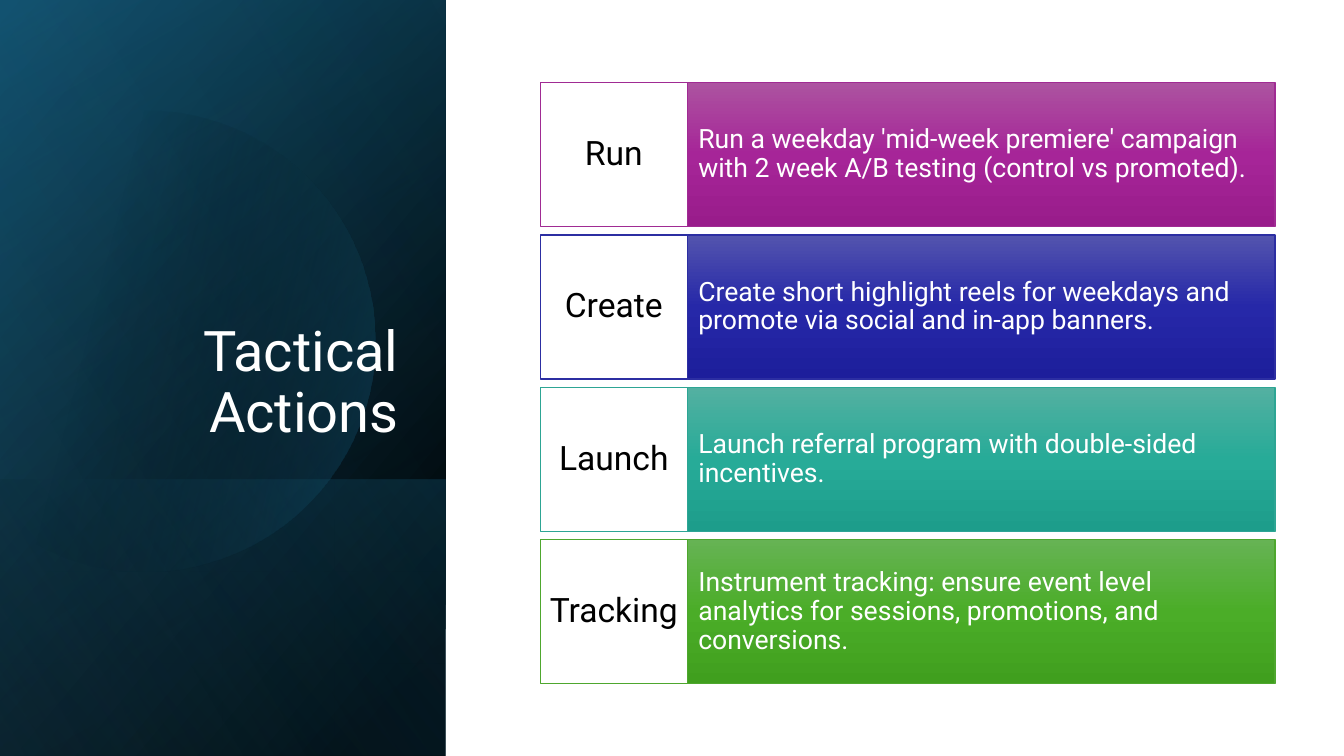
from lxml import etree
from pptx import Presentation, util as u
from pptx.dml.color import RGBColor
from pptx.enum import shapes, text
from pptx.oxml.ns import qn

# Content
TITLE = "Tactical Actions"
ACTIONS = [
    ("Run", "Run a weekday 'mid-week premiere' campaign with 2 week A/B testing "
     "(control vs promoted).", "magenta"),
    ("Create", "Create short highlight reels for weekdays and promote via social "
     "and in-app banners.", "indigo"),
    ("Launch", "Launch referral program with double-sided incentives.", "teal"),
    ("Tracking", "Instrument tracking: ensure event level analytics for sessions, "
     "promotions, and conversions.", "green"),
]
COLOURS = {
    "white": "FFFFFF", "black": "000000", "navy": "104862", "sea": "156082", "sky": "46B1E1",
    "magenta": "A02B93", "magenta_top": "AC53A0", "magenta_mid": "A62598", "magenta_end": "991C8B",
    "indigo": "2C2EA2", "indigo_top": "5354AE", "indigo_mid": "2628A8", "indigo_end": "1D1E9B",
    "teal": "2DA594", "teal_top": "53B0A1", "teal_mid": "27AB98", "teal_end": "1D9D8B",
    "green": "4EA72E", "green_top": "66B354", "green_mid": "4BAD28", "green_end": "409F1E",
}
FONT = "Roboto"

# Layout in centimetres
SLIDE_W, SLIDE_H = 33.87, 19.05
PANEL_W, BAND_H = 11.23, 6.96
CARD_X, CARD_Y, CARD_H, CARD_PITCH = 13.62, 2.08, 3.63, 3.84
VERB_W, DETAIL_W = 3.7, 14.81

# Panel layers, back to front: height, angle, stops of (position, colour, opacity)
LAYERS_BELOW = [
    (SLIDE_H, 50, [(8, "black", 100), (100, "navy", 100)]),
    (SLIDE_H, 30, [(0, "black", 0), (99, "sea", 46)]),
    (BAND_H, 130, [(2, "sea", 29), (100, "black", 30)]),
]
LAYERS_ABOVE = [(SLIDE_H, 120, [(0, "black", 0), (99, "sky", 11)])]

# Disc outline: start point, then curves of two handles and an end point
DISC_START = (0, 4.09)
DISC_CURVES = [
    ((0.58, 3.61), (1.27, 3.25), (2.03, 3.02)),
    ((2.62, 2.87), (3.2, 2.79), (3.78, 2.79)),
    ((6.25, 2.84), (8.51, 4.5), (9.22, 6.99)),
    ((10.11, 10.08), (8.33, 13.28), (5.26, 14.17)),
    ((3.33, 14.74), (1.35, 14.25), (0, 13.06)),
]
DISC_STOPS = [(29, "black", 0), (100, "sea", 43)]
CURVE_STEPS = 24

# Text formats
TITLE_FORMAT = {
    "frame": {"vertical_anchor": text.MSO_ANCHOR.BOTTOM},
    "paragraph": {"alignment": text.PP_ALIGN.RIGHT},
    "font": {"size": u.Pt(40)}, "colour": "white",
}
VERB_FORMAT = {
    "frame": {"vertical_anchor": text.MSO_ANCHOR.MIDDLE,
              "margin_left": u.Cm(0.2), "margin_right": u.Cm(0.2),
              "margin_top": u.Cm(0.36), "margin_bottom": u.Cm(0.36)},
    "paragraph": {"alignment": text.PP_ALIGN.CENTER},
    "font": {"size": u.Pt(24)}, "colour": "black",
}
DETAIL_FORMAT = {
    "frame": {"vertical_anchor": text.MSO_ANCHOR.MIDDLE,
              "margin_left": u.Cm(0.28), "margin_right": u.Cm(0.28),
              "margin_top": u.Cm(0.91), "margin_bottom": u.Cm(0.91)},
    "paragraph": {"alignment": text.PP_ALIGN.LEFT},
    "font": {"size": u.Pt(19)}, "colour": "white",
}


def rgb(name):
    return RGBColor.from_string(COLOURS[name])


def set_all(target, values):
    for key, value in values.items():
        setattr(target, key, value)


def write(shape, words, style):
    frame = shape.text_frame
    set_all(frame, {"word_wrap": True, **style["frame"]})
    paragraph = frame.paragraphs[0]
    set_all(paragraph, {"line_spacing": 0.9, **style["paragraph"]})
    run = paragraph.add_run()
    run.text = words
    set_all(run.font, {"name": FONT, **style["font"]})
    run.font.color.rgb = rgb(style["colour"])


def paint_gradient(shape, angle, stops):
    shape.fill.gradient()
    gradient = shape.fill._fill._gradFill
    stop_list = gradient.find(qn("a:gsLst"))
    for old in list(stop_list):
        stop_list.remove(old)
    for position, name, opacity in stops:
        stop = etree.SubElement(stop_list, qn("a:gs"), pos=str(position * 1000))
        colour = etree.SubElement(stop, qn("a:srgbClr"), val=COLOURS[name])
        if opacity < 100:
            etree.SubElement(colour, qn("a:alpha"), val=str(opacity * 1000))
    gradient.find(qn("a:lin")).set("ang", str(angle * 60000))


def add_box(slide, x, y, w, h):
    box = slide.shapes.add_shape(shapes.MSO_SHAPE.RECTANGLE,
                                 u.Cm(x), u.Cm(y), u.Cm(w), u.Cm(h))
    box.shadow.inherit = False
    return box


def add_layer(slide, height, angle, stops):
    # A quarter turn about the centre puts the long side upright
    centre_x, centre_y = PANEL_W / 2, SLIDE_H - height / 2
    layer = add_box(slide, centre_x - height / 2, centre_y - PANEL_W / 2, height, PANEL_W)
    layer.rotation = 90
    layer._element.spPr.find(qn("a:xfrm")).set("flipH", "1")
    layer.line.fill.background()
    paint_gradient(layer, angle, stops)


def curve_points(start, curves):
    for first, second, end in curves:
        for step in range(1, CURVE_STEPS + 1):
            t = step / CURVE_STEPS
            weights = ((1 - t) ** 3, 3 * t * (1 - t) ** 2, 3 * t * t * (1 - t), t ** 3)
            corners = (start, first, second, end)
            yield tuple(u.Cm(sum(k * p[axis] for k, p in zip(weights, corners)))
                        for axis in (0, 1))
        start = end


def add_disc(slide):
    builder = slide.shapes.build_freeform(*(u.Cm(value) for value in DISC_START))
    builder.add_line_segments(list(curve_points(DISC_START, DISC_CURVES)), close=True)
    disc = builder.convert_to_shape()
    disc.shadow.inherit = False
    disc.line.fill.background()
    paint_gradient(disc, 14, DISC_STOPS)


def add_card(slide, row, verb, detail, hue):
    y = CARD_Y + row * CARD_PITCH
    detail_box = add_box(slide, CARD_X + VERB_W, y, DETAIL_W, CARD_H)
    paint_gradient(detail_box, 90, [(0, hue + "_top", 100), (50, hue + "_mid", 100),
                                    (100, hue + "_end", 100)])
    verb_box = add_box(slide, CARD_X, y, VERB_W, CARD_H)
    verb_box.fill.solid()
    verb_box.fill.fore_color.rgb = rgb("white")
    for box, words, style in ((detail_box, detail, DETAIL_FORMAT), (verb_box, verb, VERB_FORMAT)):
        box.line.color.rgb = rgb(hue)
        box.line.width = u.Pt(1)
        write(box, words, style)


def main():
    deck = Presentation()
    deck.slide_width, deck.slide_height = u.Cm(SLIDE_W), u.Cm(SLIDE_H)
    slide = deck.slides.add_slide(deck.slide_layouts[6])

    # Dark side panel
    for layer in LAYERS_BELOW:
        add_layer(slide, *layer)
    add_disc(slide)
    for layer in LAYERS_ABOVE:
        add_layer(slide, *layer)

    # Title
    title = slide.shapes.add_textbox(u.Cm(1.63), u.Cm(4.67), u.Cm(8.66), u.Cm(6.65))
    write(title, TITLE, TITLE_FORMAT)

    # Action cards
    for row, action in enumerate(ACTIONS):
        add_card(slide, row, *action)

    deck.save("out.pptx")


if __name__ == "__main__":
    main()
